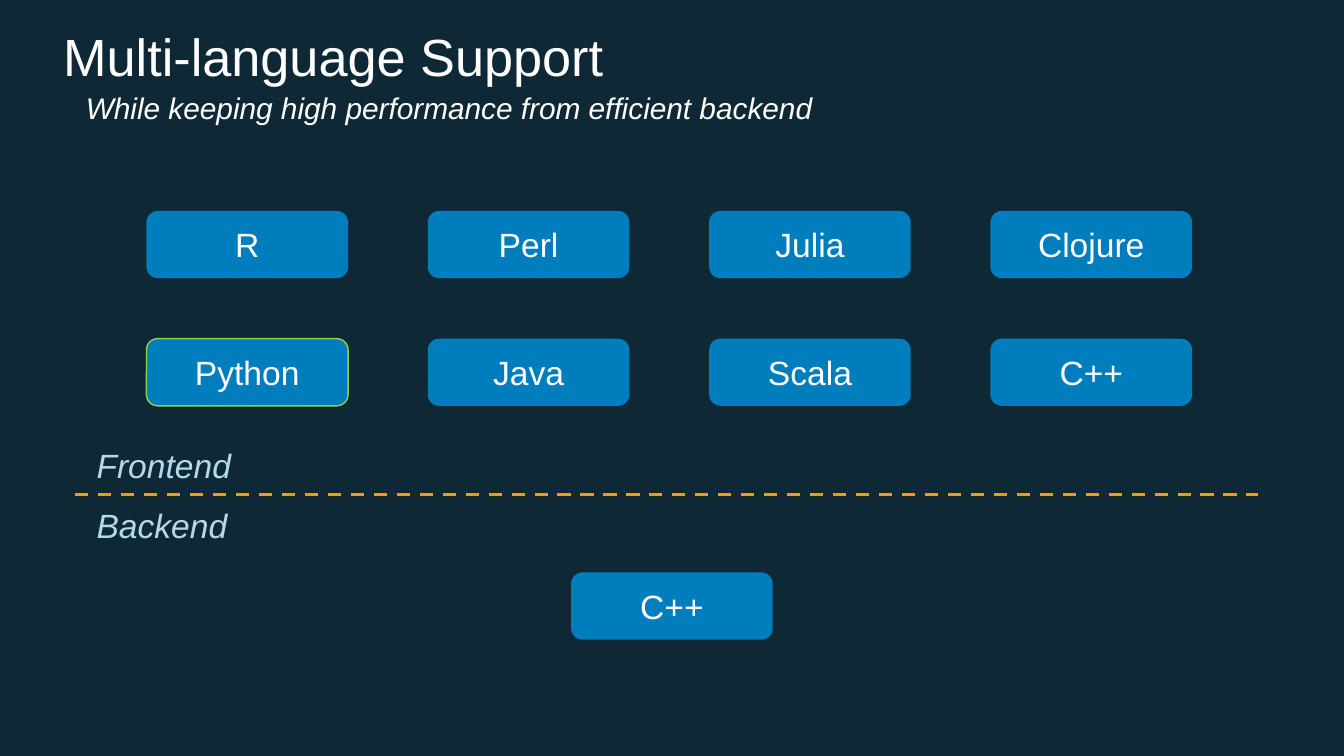
from dataclasses import dataclass

from lxml.etree import SubElement
from pptx import Presentation
from pptx.dml.color import RGBColor
from pptx.enum.dml import MSO_LINE
from pptx.enum.shapes import MSO_CONNECTOR, MSO_SHAPE
from pptx.enum.text import MSO_ANCHOR, PP_ALIGN
from pptx.oxml.ns import qn
from pptx.util import Inches, Pt


@dataclass(frozen=True)
class Theme:
    font: str = "Arial"
    background: str = "0E2836"
    text: str = "FFFFFF"
    box: str = "007DBC"
    highlight: str = "92D050"
    divider: str = "FF9900"
    layer: str = "B5D9EB"
    title_size: int = 28
    subtitle_size: int = 16
    label_size: int = 18


THEME = Theme()

TITLE = "Multi-language Support"
SUBTITLE = "While keeping high performance from efficient backend"
FRONTEND_LANGUAGES = [
    ["R", "Perl", "Julia", "Clojure"],
    ["Python", "Java", "Scala", "C++"],
]
HIGHLIGHTED = "Python"
BACKEND_LANGUAGE = "C++"
LAYERS = [("Frontend", 3.26, 1.32), ("Backend", 3.71, 1.24)]  # name, top, width

SLIDE_WIDTH = 10
SLIDE_HEIGHT = SLIDE_WIDTH * 9 / 16
BOX_WIDTH, BOX_HEIGHT = 1.5, 0.5
GRID_LEFT, GRID_RIGHT, GRID_TOP = 1.09, 8.87, 1.57
ROW_PITCH = 0.95
COLUMN_PITCH = (GRID_RIGHT - GRID_LEFT - BOX_WIDTH) / (len(FRONTEND_LANGUAGES[0]) - 1)
BACKEND_TOP = 4.26
DIVIDER_LEFT, DIVIDER_RIGHT, DIVIDER_TOP = 0.56, 9.36, 3.68


def color(value):
    return RGBColor.from_string(value)


def write(shape, text, size, text_color=THEME.text, italic=False, align=PP_ALIGN.LEFT):
    paragraph = shape.text_frame.paragraphs[0]
    paragraph.text = text
    paragraph.alignment = align
    font = paragraph.runs[0].font
    font.name = THEME.font
    font.size = Pt(size)
    font.italic = italic
    font.color.rgb = color(text_color)


def add_language(slide, name, left, top):
    shape = slide.shapes.add_shape(
        MSO_SHAPE.ROUNDED_RECTANGLE,
        Inches(left), Inches(top), Inches(BOX_WIDTH), Inches(BOX_HEIGHT))
    shape.shadow.inherit = False
    shape.fill.solid()
    shape.fill.fore_color.rgb = color(THEME.box)
    if name == HIGHLIGHTED:
        shape.line.color.rgb = color(THEME.highlight)
        shape.line.width = Pt(0.75)
    else:
        shape.line.fill.background()
    shape.text_frame.vertical_anchor = MSO_ANCHOR.MIDDLE
    write(shape, name, THEME.label_size, align=PP_ALIGN.CENTER)


def add_italic_text(slide, text, left, top, width, height, size, text_color, wrap):
    shape = slide.shapes.add_textbox(
        Inches(left), Inches(top), Inches(width), Inches(height))
    shape.text_frame.word_wrap = wrap
    write(shape, text, size, text_color, italic=True)


def add_divider(slide):
    divider = slide.shapes.add_connector(
        MSO_CONNECTOR.STRAIGHT,
        Inches(DIVIDER_LEFT), Inches(DIVIDER_TOP),
        Inches(DIVIDER_RIGHT), Inches(DIVIDER_TOP))
    divider.line.color.rgb = color(THEME.divider)
    divider.line.width = Pt(1.75)
    divider.line.dash_style = MSO_LINE.DASH
    SubElement(divider._element.spPr, qn("a:effectLst"))


def main():
    presentation = Presentation()
    presentation.slide_width = Inches(SLIDE_WIDTH)
    presentation.slide_height = Inches(SLIDE_HEIGHT)
    slide = presentation.slides.add_slide(presentation.slide_layouts.get_by_name("Title Only"))
    slide.background.fill.solid()
    slide.background.fill.fore_color.rgb = color(THEME.background)

    title = slide.shapes.title
    title.left, title.top = Inches(0.37), Inches(0.13)
    title.width, title.height = Inches(8.97), Inches(0.6)
    title.text_frame.vertical_anchor = MSO_ANCHOR.TOP
    write(title, TITLE, THEME.title_size)
    add_italic_text(slide, SUBTITLE, 0.54, 0.62, 8.97, 0.6,
                    THEME.subtitle_size, THEME.text, wrap=True)

    for row, languages in enumerate(FRONTEND_LANGUAGES):
        for column, name in enumerate(languages):
            add_language(slide, name, GRID_LEFT + column * COLUMN_PITCH,
                         GRID_TOP + row * ROW_PITCH)

    add_divider(slide)
    for name, top, width in LAYERS:
        add_italic_text(slide, name, 0.62, top, width, 0.4,
                        THEME.label_size, THEME.layer, wrap=False)
    add_language(slide, BACKEND_LANGUAGE, (SLIDE_WIDTH - BOX_WIDTH) / 2, BACKEND_TOP)

    presentation.save("out.pptx")


if __name__ == "__main__":
    main()
